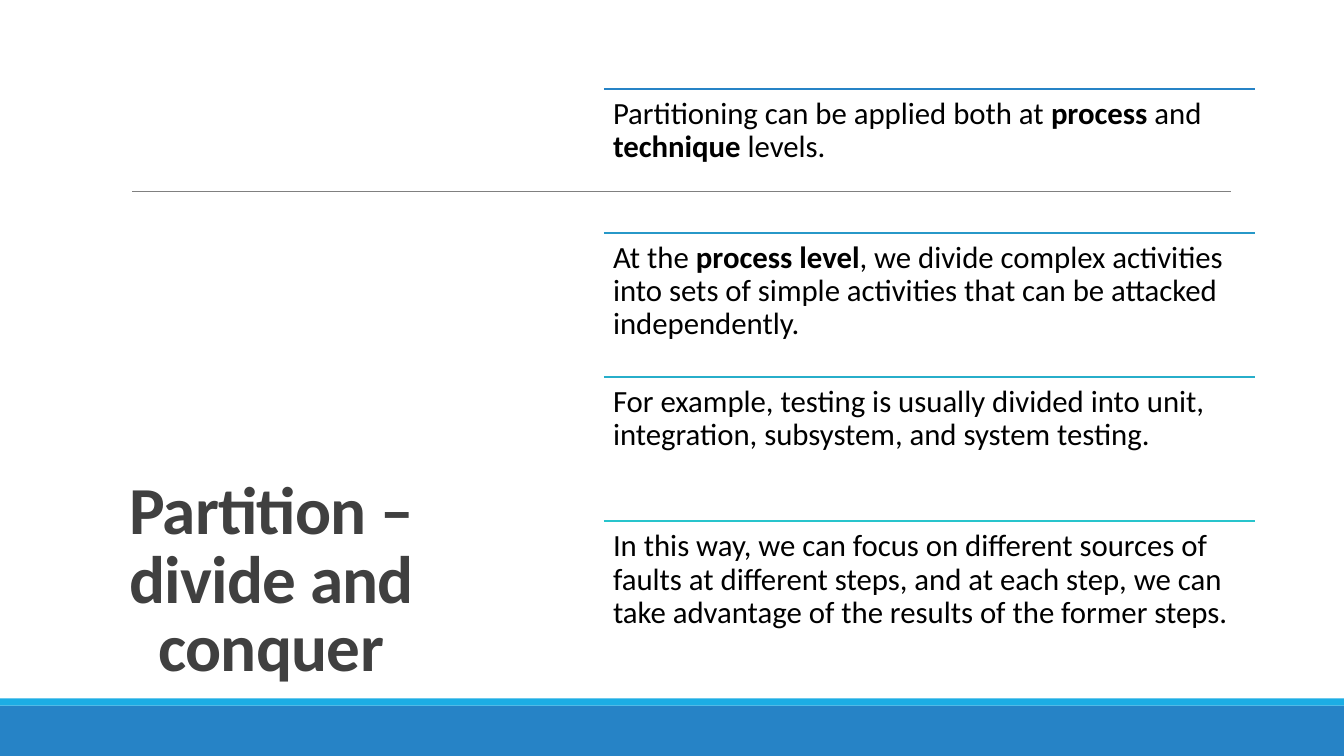
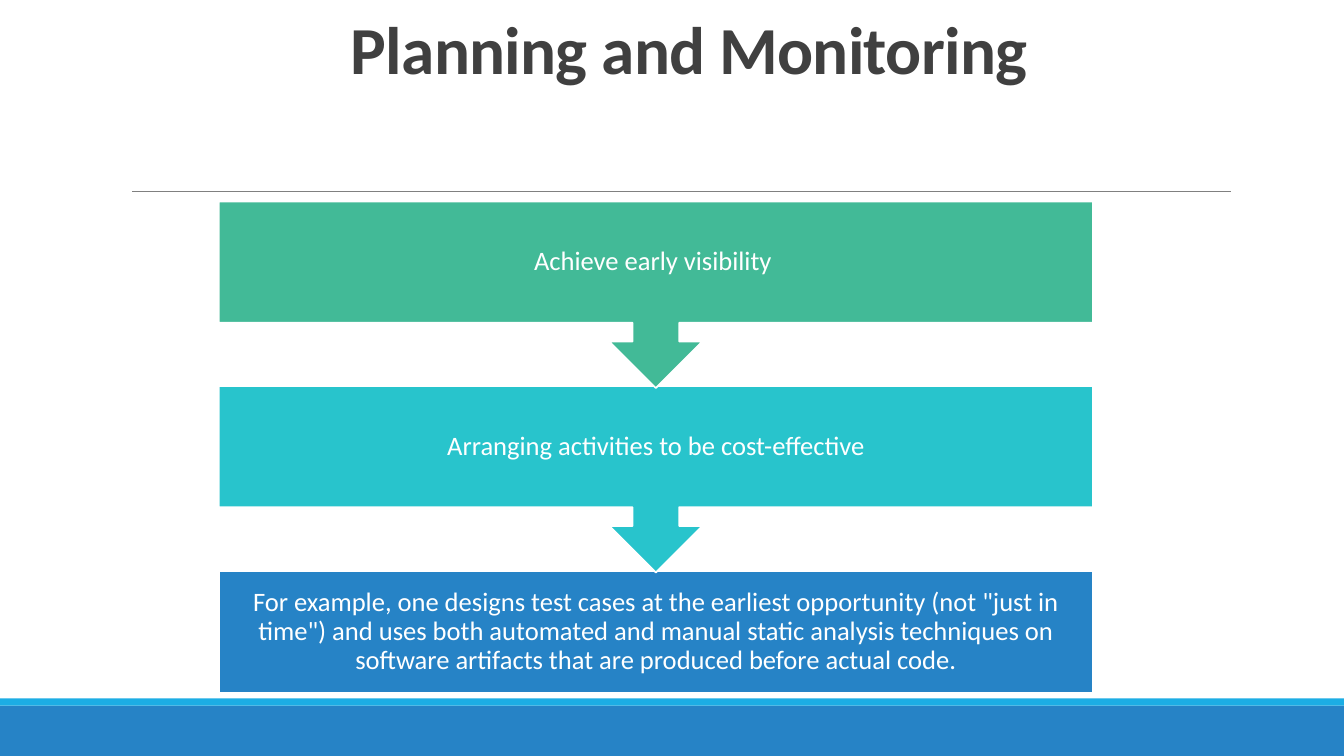
from lxml.etree import SubElement
from pptx import Presentation
from pptx.dml.color import RGBColor
from pptx.enum.shapes import MSO_CONNECTOR as Connector, MSO_SHAPE as Shape
from pptx.enum.text import MSO_ANCHOR as Anchor, PP_ALIGN as Align
from pptx.oxml.ns import qn
from pptx.util import Pt

PX = 9144  # 100 px to the inch
WIDTH, HEIGHT = 1333, 750
FONT = "Calibri"
BLUE, SKY, AQUA, GREEN = "2683C6", "1CADE4", "28C4CC", "42BA97"
WHITE, BLACK, DARK, GREY = "FFFFFF", "000000", "404040", "808080"
rgb = RGBColor.from_string


def write(box, text, size, color, bold=False, align=Align.LEFT, anchor=Anchor.TOP,
          line_spacing=0.9, inset=(9, 9), tracking=None):
    """Fill a box with one paragraph; ** switches bold on and off."""
    frame = box.text_frame
    frame.word_wrap = True
    frame.vertical_anchor = anchor
    frame.margin_left = frame.margin_right = inset[0] * PX
    frame.margin_top = frame.margin_bottom = inset[1] * PX
    para = frame.paragraphs[0]
    para.alignment = align
    para.line_spacing = line_spacing
    for index, part in enumerate(text.split("**")):
        span = para.add_run()
        span.text = part
        span.font.name = FONT
        span.font.size = Pt(size)
        span.font.bold = bold or index % 2 == 1
        span.font.color.rgb = rgb(color)
        if tracking is not None:
            span._r.get_or_add_rPr().set("spc", str(tracking))


def add_rule(page, left, right, y, color, weight):
    rule = page.shapes.add_connector(
        Connector.STRAIGHT, left * PX, y * PX, right * PX, y * PX)
    rule.line.color.rgb = rgb(color)
    rule.line.width = Pt(weight)
    SubElement(rule._element.spPr, qn("a:effectLst"))


deck = Presentation()
deck.slide_width, deck.slide_height = WIDTH * PX, HEIGHT * PX

# Shared frame: footer bands, rule and title
titles = [
    ("Partition – divide and conquer", (63, 61, 412, 624)),
    ("Planning and Monitoring", (217, 25, 933, 67)),
]
pages = []
for title, area in titles:
    page = deck.slides.add_slide(deck.slide_layouts[6])
    for top, height, color in [(700, 50, BLUE), (693, 7, SKY)]:
        band = page.shapes.add_shape(
            Shape.RECTANGLE, 0, top * PX, WIDTH * PX, height * PX)
        band.shadow.inherit = False
        band.fill.solid()
        band.fill.fore_color.rgb = rgb(color)
        band.line.fill.background()
    add_rule(page, 131, 1221, 190, GREY, 0.5)
    box = page.shapes.add_textbox(*[length * PX for length in area])
    write(box, title, 48, DARK, bold=True, align=Align.CENTER, anchor=Anchor.BOTTOM,
          line_spacing=0.85, inset=(10, 5), tracking=-50)
    pages.append(page)
partition_page, planning_page = pages

# Partition: ruled list of statements
statements = [
    (BLUE, "Partitioning can be applied both at **process **and** technique** levels."),
    ("2798C8", "At the** process level**, we divide complex activities into sets of "
               "simple activities that can be attacked independently."),
    ("27AECA", "For example, testing is usually divided into unit, integration, "
               "subsystem, and system testing."),
    (AQUA, "In this way, we can focus on different sources of faults at different "
           "steps, and at each step, we can take advantage of the results of the "
           "former steps."),
]
left, width, row_height = 599, 646, 143
for index, (color, text) in enumerate(statements):
    top = 88 + index * row_height
    add_rule(partition_page, left, left + width, top, color, 1.25)
    box = partition_page.shapes.add_textbox(
        left * PX, top * PX, width * PX, row_height * PX)
    write(box, text, 22, BLACK)

# Planning: steps flowing down, the last drawn first so arrow tips lie on top
steps = [
    (Shape.DOWN_ARROW_CALLOUT, 185, GREEN, "Achieve early visibility "),
    (Shape.DOWN_ARROW_CALLOUT, 185, AQUA, "Arranging activities to be cost-effective"),
    (Shape.RECTANGLE, 120, BLUE,
     'For example, one designs test cases at the earliest opportunity (not "just in '
     'time") and uses both automated and manual static analysis techniques on '
     "software artifacts that are produced before actual code."),
]
for index, (kind, height, color, text) in reversed(list(enumerate(steps))):
    top = 200 + index * 367 // 2
    step = planning_page.shapes.add_shape(
        kind, 217 * PX, top * PX, 867 * PX, height * PX)
    step.shadow.inherit = False
    step.fill.solid()
    step.fill.fore_color.rgb = rgb(color)
    step.line.color.rgb = rgb(WHITE)
    step.line.width = Pt(1.25)
    write(step, text, 19, WHITE, align=Align.CENTER, anchor=Anchor.MIDDLE,
          inset=(15, 15))

deck.save("out.pptx")
